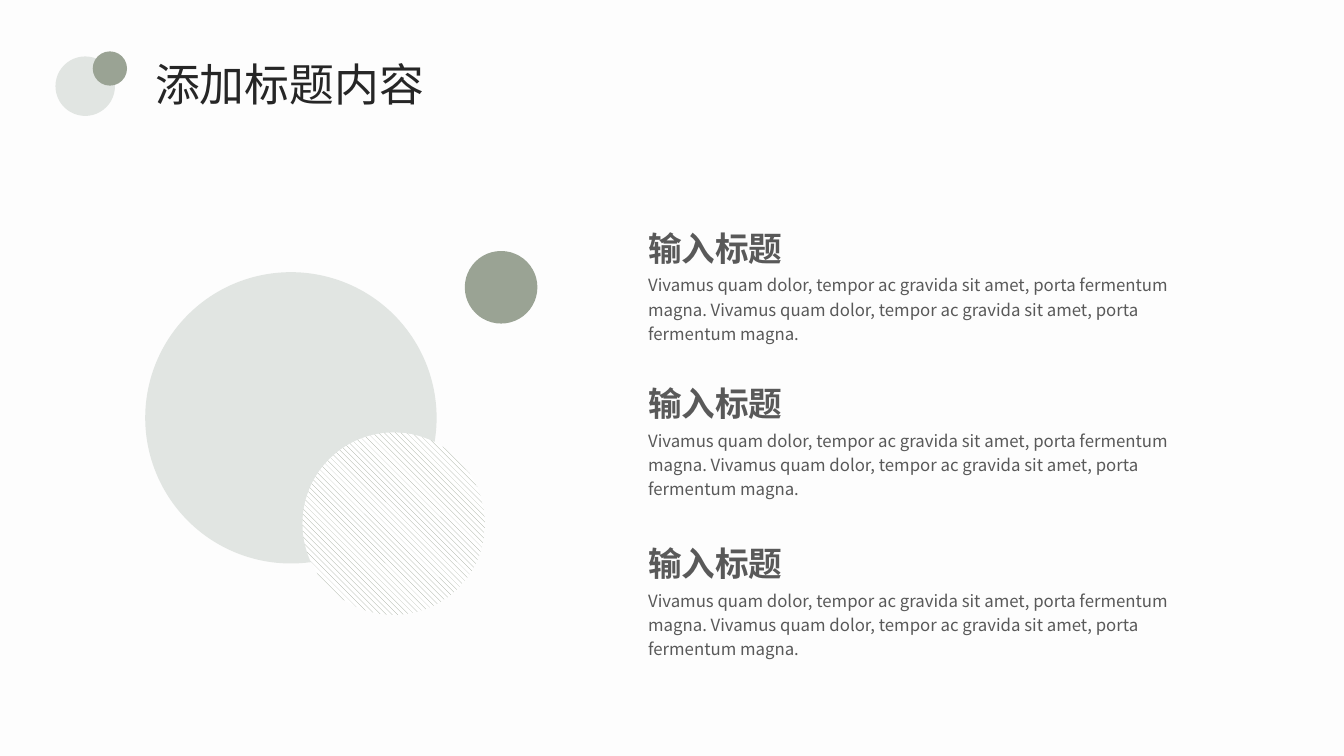
from lxml import etree
from pptx import Presentation
from pptx.dml.color import RGBColor
from pptx.enum import dml, shapes, text
from pptx.oxml.ns import qn
from pptx.util import Inches, Pt

FONT = "Noto Sans CJK SC"
PALE, SAGE, WHITE = "E1E5E2", "9AA394", "FFFFFF"
BACKGROUND, DARK, GREY = "FDFDFD", "262626", "595959"
HEADING = "输入标题"
SENTENCE = "Vivamus quam dolor, tempor ac gravida sit amet, porta fermentum magna."
BODY = f"{SENTENCE} {SENTENCE}"
ENTRY_TOPS = (2.13, 3.67, 5.26)


def color(value):
    return RGBColor.from_string(value)


def add_circle(parent, left, top, size, fill):
    circle = parent.add_shape(
        shapes.MSO_SHAPE.OVAL, Inches(left), Inches(top), Inches(size), Inches(size))
    circle.shadow.inherit = False
    circle.fill.solid()
    circle.fill.fore_color.rgb = color(fill)
    circle.line.fill.background()
    return circle


def add_hatched_circle(parent, left, top, size):
    fill = add_circle(parent, left, top, size, WHITE).fill
    fill.patterned()
    fill.pattern = dml.MSO_PATTERN.WIDE_DOWNWARD_DIAGONAL
    fill.fore_color.rgb = color(SAGE)
    fill.back_color.rgb = color(WHITE)


def add_text(page, left, top, width, height, wording, size, ink,
             bold=False, wrap=True, spacing=None):
    box = page.shapes.add_textbox(
        Inches(left), Inches(top), Inches(width), Inches(height))
    frame = box.text_frame
    frame.word_wrap = wrap
    frame.auto_size = text.MSO_AUTO_SIZE.SHAPE_TO_FIT_TEXT
    para = frame.paragraphs[0]
    para.text = wording
    para.line_spacing = spacing
    para.font.size = Pt(size)
    para.font.bold = bold
    para.font.color.rgb = color(ink)
    para.font.name = FONT
    # Chinese characters take their typeface from a separate element
    defaults = para._p.pPr.find(qn("a:defRPr"))
    etree.SubElement(defaults, qn("a:ea"), typeface=FONT)


def add_entry(page, top):
    add_text(page, 6.33, top, 5.95, 0.54, HEADING, 24, GREY, bold=True, spacing=1.2)
    add_text(page, 6.33, top + 0.51, 5.95, 0.83, BODY, 12, GREY, spacing=1.2)


def main():
    deck = Presentation()
    deck.slide_width, deck.slide_height = Inches(13.33), Inches(7.5)
    page = deck.slides.add_slide(deck.slide_layouts[6])
    page.background.fill.solid()
    page.background.fill.fore_color.rgb = color(BACKGROUND)

    add_text(page, 1.44, 0.51, 2.89, 0.64, "添加标题内容", 32, DARK, wrap=False)
    emblem = page.shapes.add_group_shape().shapes
    add_circle(emblem, 0.55, 0.56, 0.59, PALE)
    add_circle(emblem, 0.92, 0.51, 0.34, SAGE)

    for top in ENTRY_TOPS:
        add_entry(page, top)

    add_circle(page.shapes, 1.44, 2.7, 2.89, PALE)
    add_hatched_circle(page.shapes, 3, 4.29, 1.81)
    add_circle(page.shapes, 4.61, 2.49, 0.72, SAGE)
    deck.save("out.pptx")


if __name__ == "__main__":
    main()
